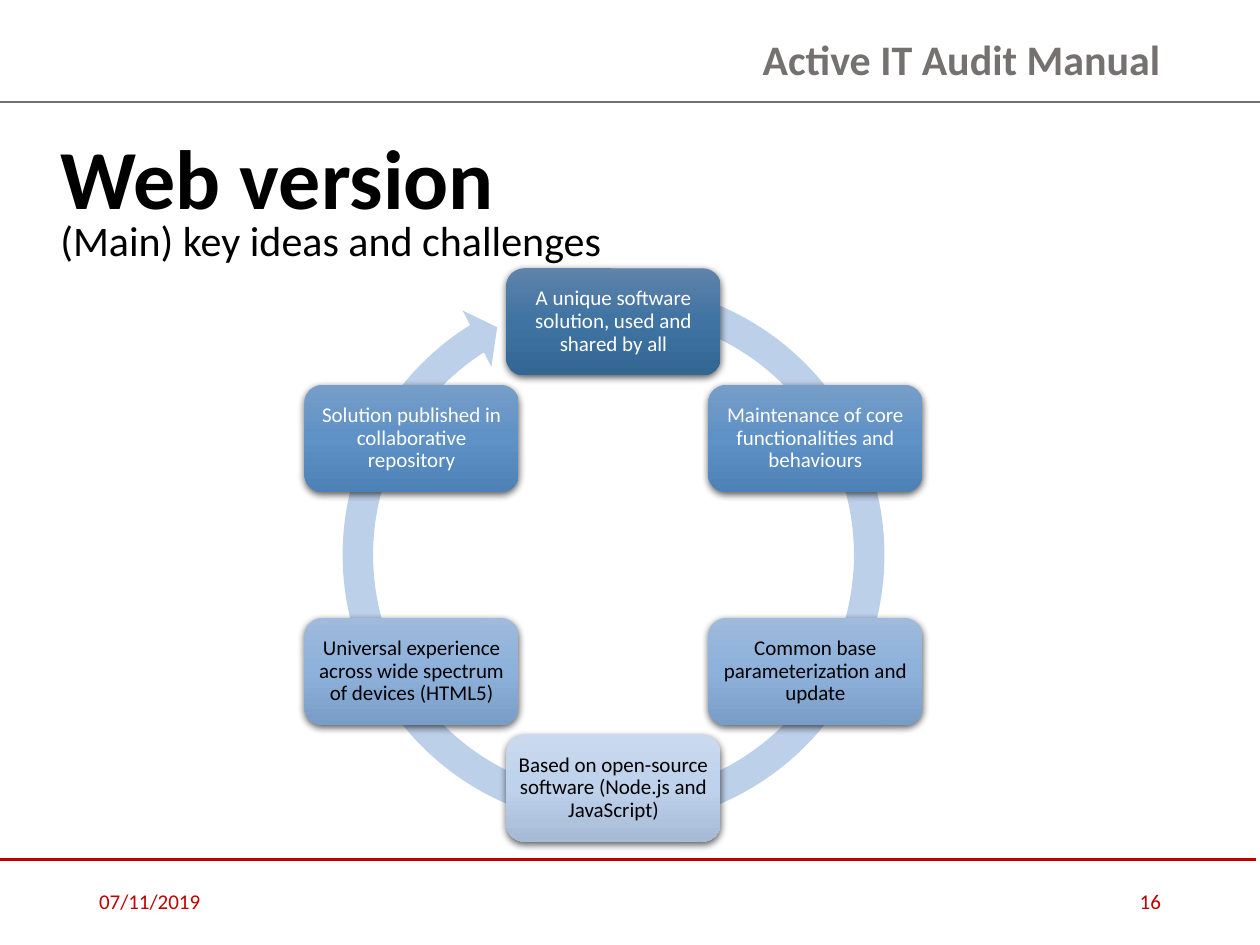
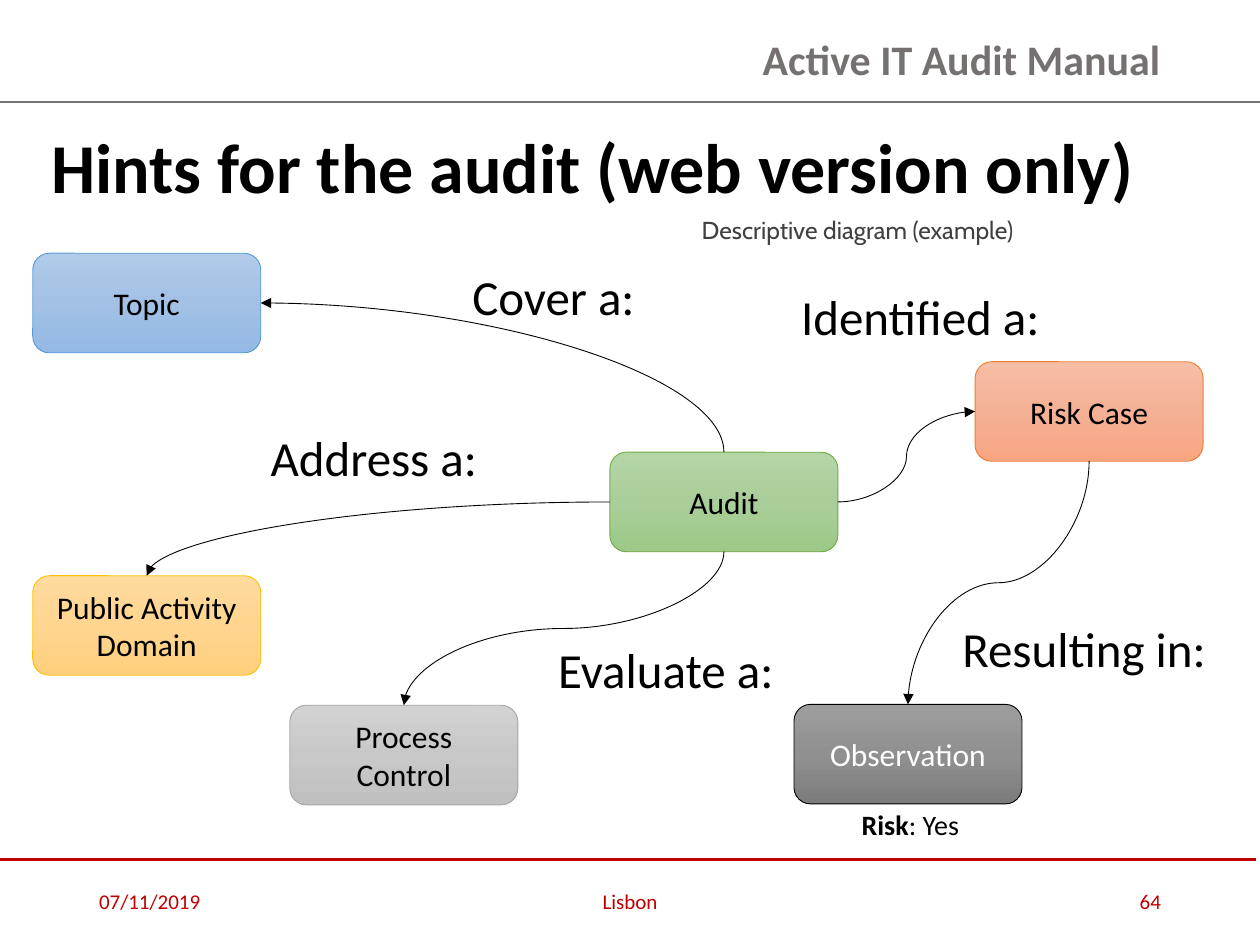
from copy import deepcopy
from dataclasses import dataclass
from math import cos, radians, sin

from lxml import etree
from pptx import Presentation
from pptx.dml.color import RGBColor
from pptx.enum import shapes, text
from pptx.oxml import ns
from pptx.util import Pt

# Shared look
GREY, RED, BLACK, WHITE = "767171", "C00000", "000000", "FFFFFF"
LEFT, CENTER, RIGHT = (text.PP_ALIGN.LEFT, text.PP_ALIGN.CENTER,
                       text.PP_ALIGN.RIGHT)
TOP, MIDDLE = text.MSO_ANCHOR.TOP, text.MSO_ANCHOR.MIDDLE
SIDE_TOP, SIDE_LEFT, SIDE_BOTTOM, SIDE_RIGHT = range(4)


@dataclass(frozen=True)
class Area:
    left: float
    top: float
    width: float
    height: float

    def lengths(self):
        return Pt(self.left), Pt(self.top), Pt(self.width), Pt(self.height)

    def side(self, site: int) -> tuple[float, float]:
        """Middle of a side, numbered as connection sites are."""
        across, down = ((0.5, 0), (0, 0.5), (0.5, 1), (1, 0.5))[site]
        return self.left + across * self.width, self.top + down * self.height


@dataclass(frozen=True)
class Style:
    size: float
    color: str = BLACK
    bold: bool = False
    align: text.PP_ALIGN = LEFT
    anchor: text.MSO_ANCHOR = TOP
    spacing: float = 1.0
    wrap: bool = True
    font: str = "Calibri"


@dataclass(frozen=True)
class Idea:
    wording: str
    gradient: tuple[str, str, str]
    color: str


@dataclass(frozen=True)
class Entity:
    name: str
    left: float
    top: float
    gradient: tuple[str, str, str]
    border: str
    color: str = BLACK

    @property
    def area(self) -> Area:
        return Area(self.left, self.top, 130.3, 56.9)


@dataclass(frozen=True)
class Relation:
    source: str
    source_side: int
    target: str
    target_side: int


@dataclass(frozen=True)
class Label:
    wording: str
    left: float
    top: float
    width: float


HEADER = Style(24, GREY, True, RIGHT, MIDDLE, 0.9)
NOTE = Style(14, "404040", align=CENTER, spacing=0.9, font="Cabin")
RELATION = Style(28, spacing=0.9, wrap=False)


def rgb(color: str) -> RGBColor:
    return RGBColor.from_string(color)


def add_xml(parent, tag: str, **attributes):
    return etree.SubElement(parent, ns.qn(tag), attributes)


# Drawing helpers
def write(shape, wording: str, style: Style) -> None:
    frame = shape.text_frame
    frame.text = wording
    frame.word_wrap = style.wrap
    frame.auto_size = text.MSO_AUTO_SIZE.NONE
    frame.vertical_anchor = style.anchor
    paragraph = frame.paragraphs[0]
    paragraph.alignment = style.align
    paragraph.line_spacing = style.spacing
    font = paragraph.font
    font.name, font.size, font.bold = style.font, Pt(style.size), style.bold
    font.color.rgb = rgb(style.color)


def add_text(slide, area: Area, wording: str, style: Style):
    box = slide.shapes.add_textbox(*area.lengths())
    write(box, wording, style)
    return box


def add_gradient_box(slide, area: Area, gradient: tuple[str, str, str]):
    box = slide.shapes.add_shape(shapes.MSO_SHAPE.ROUNDED_RECTANGLE,
                                 *area.lengths())
    box.shadow.inherit = False
    box.line.fill.background()
    box.fill.gradient()
    box.fill.gradient_angle = 270
    stop_list = box.element.spPr.find(".//" + ns.qn("a:gsLst"))
    stop_list.insert(1, deepcopy(stop_list[0]))
    for stop, color, position in zip(box.fill.gradient_stops, gradient,
                                     (0, 0.5, 1)):
        stop.color.rgb = rgb(color)
        stop.position = position
    return box


def add_line(slide, kind, begin: tuple[float, float],
             end: tuple[float, float], color: str, width: float):
    line = slide.shapes.add_connector(kind, *map(Pt, begin + end))
    line.line.color.rgb = rgb(color)
    line.line.width = Pt(width)
    add_xml(line.element.spPr, "a:effectLst")
    return line


def add_curve(slide, relation: Relation, areas: dict, boxes: dict) -> None:
    begin = areas[relation.source].side(relation.source_side)
    end = areas[relation.target].side(relation.target_side)
    curve = add_line(slide, shapes.MSO_CONNECTOR.CURVE, begin, end, BLACK, 0.5)
    curve.begin_connect(boxes[relation.source], relation.source_side)
    curve.end_connect(boxes[relation.target], relation.target_side)
    properties = curve.element.spPr
    add_xml(properties.find(ns.qn("a:ln")), "a:tailEnd", type="triangle")

    # A curve that turns once joins a horizontal side to a vertical one
    if relation.source_side % 2 != relation.target_side % 2:
        properties.find(ns.qn("a:prstGeom")).set("prst", "curvedConnector2")

    # A curve that leaves vertically is a horizontal one turned on its centre
    if relation.source_side in (SIDE_TOP, SIDE_BOTTOM):
        turn = 1 if relation.source_side == SIDE_BOTTOM else -1
        middle_x, middle_y = (begin[0] + end[0]) / 2, (begin[1] + end[1]) / 2
        half_x, half_y = begin[0] - middle_x, begin[1] - middle_y
        curve.begin_x = Pt(middle_x + turn * half_y)
        curve.begin_y = Pt(middle_y - turn * half_x)
        curve.end_x = Pt(middle_x - turn * half_y)
        curve.end_y = Pt(middle_y + turn * half_x)
        properties.find(ns.qn("a:xfrm")).set("rot", str(turn % 4 * 5400000))


def add_page(deck, title: str, area: Area, style: Style, number: str,
             place: str = ""):
    slide = deck.slides.add_slide(deck.slide_layouts[5])
    heading = slide.shapes.title
    heading.left, heading.top, heading.width, heading.height = area.lengths()
    write(heading, title, style)

    # Header and footer
    add_text(slide, Area(303, 12.2, 367.2, 46), "Active IT Audit Manual", HEADER)
    straight = shapes.MSO_CONNECTOR.STRAIGHT
    add_line(slide, straight, (0, 58.2), (720, 58.2), GREY, 1.5)
    add_line(slide, straight, (-2, 491), (718, 491), RED, 1.5)
    for wording, left, width, align in (("07/11/2019", 49.5, 162, LEFT),
                                        (place, 238.5, 243, CENTER),
                                        (number, 508.5, 162, RIGHT)):
        if wording:
            add_text(slide, Area(left, 500.5, width, 28.75), wording,
                     Style(12, RED, align=align, anchor=MIDDLE))
    return slide


# Web version: ring of ideas, clockwise from the top
DARK = ("5F83AA", "3F73A2", "346694")
MEDIUM = ("779EC8", "5E91C6", "4E81B5")
LIGHT = ("9EBADC", "8DB1DA", "799DC6")
PALE = ("CAD9EE", "BED2EC", "A6BAD5")
IDEAS = (
    Idea("A unique software solution, used and shared by all", DARK, WHITE),
    Idea("Maintenance of core functionalities and behaviours", MEDIUM, WHITE),
    Idea("Common base parameterization and update", LIGHT, BLACK),
    Idea("Based on open-source software (Node.js and JavaScript)", PALE, BLACK),
    Idea("Universal experience across wide spectrum of devices (HTML5)",
         LIGHT, BLACK),
    Idea("Solution published in collaborative repository", MEDIUM, WHITE),
)


def add_idea(slide, idea: Idea, area: Area) -> None:
    box = add_gradient_box(slide, area, idea.gradient)
    write(box, idea.wording, Style(12, idea.color, align=CENTER,
                                   anchor=MIDDLE, spacing=0.9))
    frame = box.text_frame
    frame.margin_left = frame.margin_right = Pt(3.6)
    frame.margin_top = frame.margin_bottom = Pt(3.6)
    effects = box.element.spPr.find(ns.qn("a:effectLst"))
    shadow = add_xml(effects, "a:outerShdw", blurRad=str(Pt(4.5)),
                     dist=str(Pt(1.5)), dir="5400000", algn="ctr",
                     rotWithShape="0")
    add_xml(add_xml(shadow, "a:srgbClr", val=BLACK), "a:alpha", val="63000")


def build_web_version(deck) -> None:
    slide = add_page(deck, "Web version", Area(27.4, 68.4, 692.6, 65.5),
                     Style(48, bold=True), "16")
    add_text(slide, Area(27.4, 114.5, 692.6, 41),
             "(Main) key ideas and challenges", Style(24, spacing=1.15))

    center_x, center_y, radius = 350.6, 317.1, 133.2
    ring_size, box_width, box_height = 328.3, 122.4, 61.2
    ring = slide.shapes.add_shape(
        shapes.MSO_SHAPE.CIRCULAR_ARROW,
        *Area(center_x - ring_size / 2, center_y - ring_size / 2,
              ring_size, ring_size).lengths())
    ring.shadow.inherit = False
    ring.fill.solid()
    ring.fill.fore_color.rgb = rgb("BDD0E9")
    ring.line.fill.background()
    for index, value in enumerate((0.053, 3.126, 142.636, 171.063, 0.055)):
        ring.adjustments[index] = value

    for index, idea in enumerate(IDEAS):
        angle = radians(index * 360 / len(IDEAS))
        add_idea(slide, idea, Area(
            center_x + radius * sin(angle) - box_width / 2,
            center_y - radius * cos(angle) - box_height / 2,
            box_width, box_height))


# Hints: audit and what it relates to
ENTITIES = (
    Entity("Topic", 18.7, 144.7, ("B1CBE9", "A3C1E5", "93B9E4"), "5B9BD5"),
    Entity("Public Activity Domain", 18.7, 329,
           ("FFDB9E", "FFD590", "FFD07C"), "FFC000"),
    Entity("Process Control", 165.6, 403, ("D2D2D2", "C8C8C8", "C0C0C0"),
           "A5A5A5"),
    Entity("Audit", 348.5, 258.4, ("B5D5A7", "AACE9A", "9CC987"), "70AD47"),
    Entity("Risk Case", 557.2, 206.7, ("F7BDA5", "F5B196", "F8A582"), "ED7D31"),
    Entity("Observation", 453.7, 402.5, ("9D9D9D", "909090", "7C7C7C"),
           BLACK, WHITE),
)
RELATIONS = (
    Relation("Audit", SIDE_BOTTOM, "Process Control", SIDE_TOP),
    Relation("Audit", SIDE_LEFT, "Public Activity Domain", SIDE_TOP),
    Relation("Audit", SIDE_TOP, "Topic", SIDE_RIGHT),
    Relation("Audit", SIDE_RIGHT, "Risk Case", SIDE_LEFT),
    Relation("Risk Case", SIDE_BOTTOM, "Observation", SIDE_TOP),
)
LABELS = (
    Label("Address a:", 147.6, 244.8, 136),
    Label("Cover a:", 262.8, 152.6, 109.4),
    Label("Evaluate a:", 311.8, 365.8, 142.6),
    Label("Identified a:", 450.7, 164.2, 153.4),
    Label("Resulting in:", 542.9, 353.5, 158.4),
)


def build_hints(deck) -> None:
    slide = add_page(deck, "Hints for the audit (web version only)",
                     Area(22.3, 67, 639.4, 55.4),
                     Style(40, bold=True, wrap=False), "64", "Lisbon")
    add_text(slide, Area(326.2, 121, 327.6, 23),
             "Descriptive diagram (example)", NOTE)

    areas, boxes = {}, {}
    for entity in ENTITIES:
        box = add_gradient_box(slide, entity.area, entity.gradient)
        box.line.color.rgb = rgb(entity.border)
        box.line.width = Pt(0.5)
        write(box, entity.name,
              Style(18, entity.color, align=CENTER, anchor=MIDDLE))
        areas[entity.name], boxes[entity.name] = entity.area, box
    for relation in RELATIONS:
        add_curve(slide, relation, areas, boxes)
    for label in LABELS:
        add_text(slide, Area(label.left, label.top, label.width, 38.2),
                 label.wording, RELATION)

    # Risk flag under the observation
    risk = add_text(slide, Area(468, 460, 104.4, 24.5), "Risk",
                    Style(16, align=CENTER, spacing=0.9))
    line = risk.text_frame.paragraphs[0]
    line.runs[0].font.bold = True
    line.font.bold = False
    line.add_run().text = ": Yes"


def main() -> None:
    deck = Presentation()
    deck.slide_width, deck.slide_height = Pt(720), Pt(540)
    build_web_version(deck)
    build_hints(deck)
    deck.save("out.pptx")


if __name__ == "__main__":
    main()
